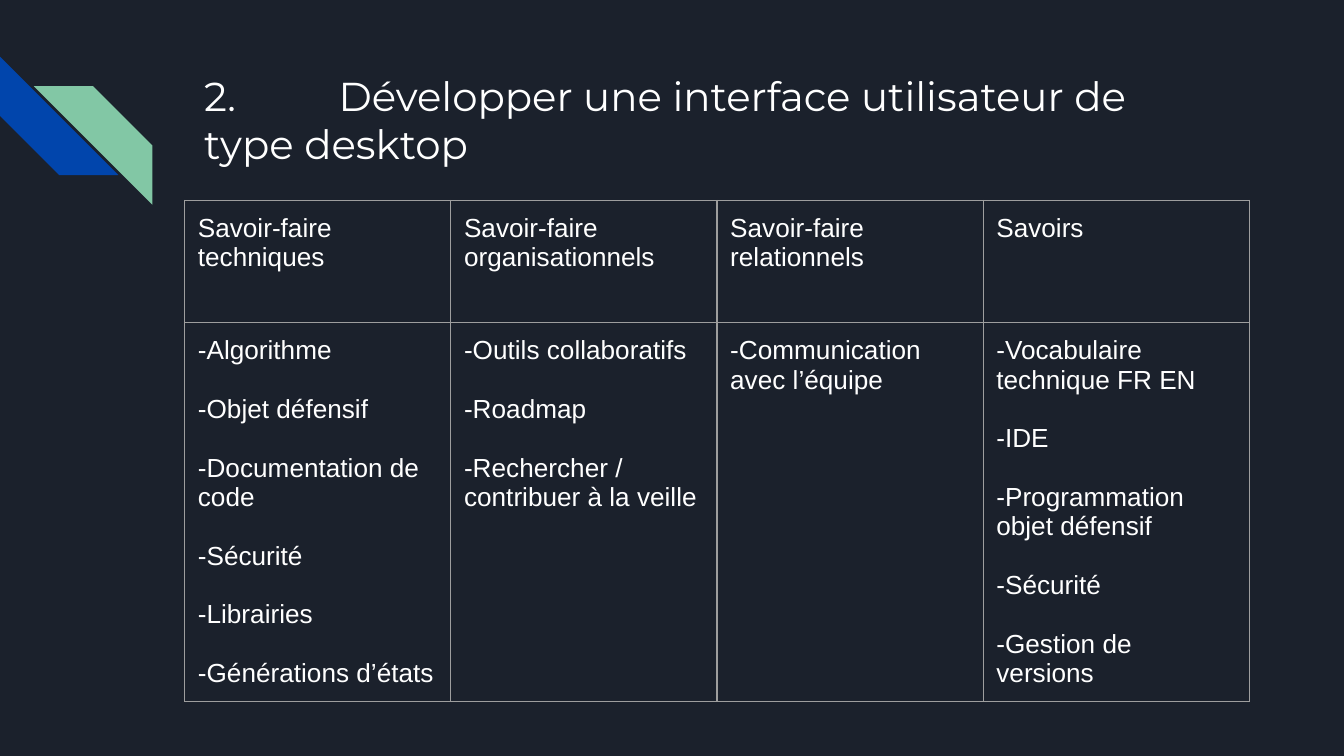
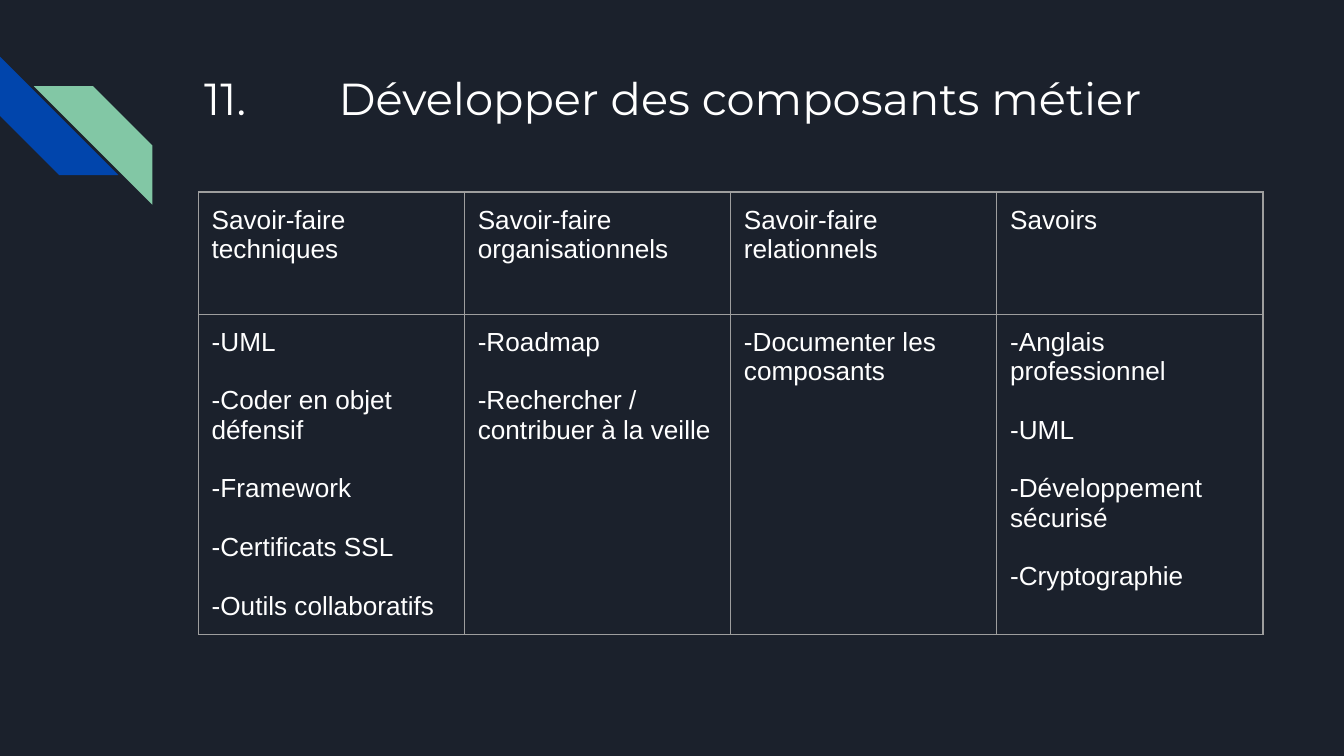
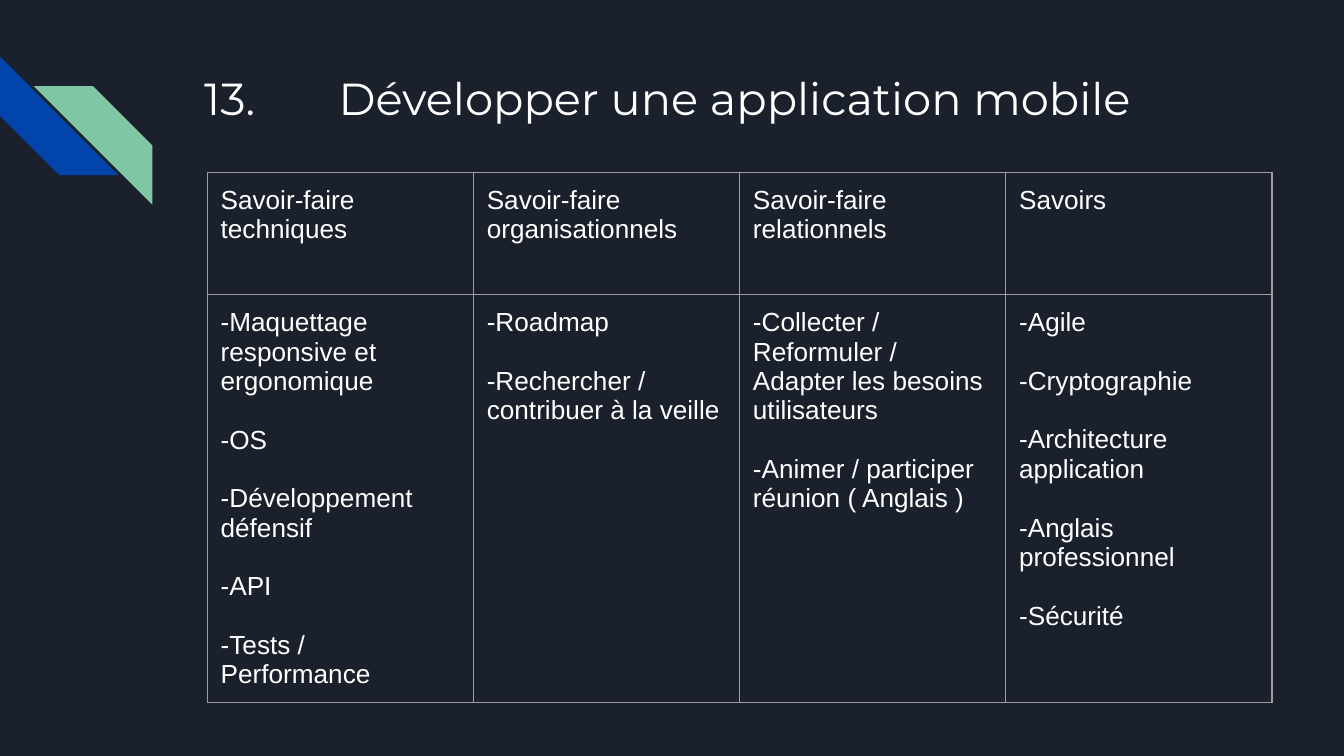
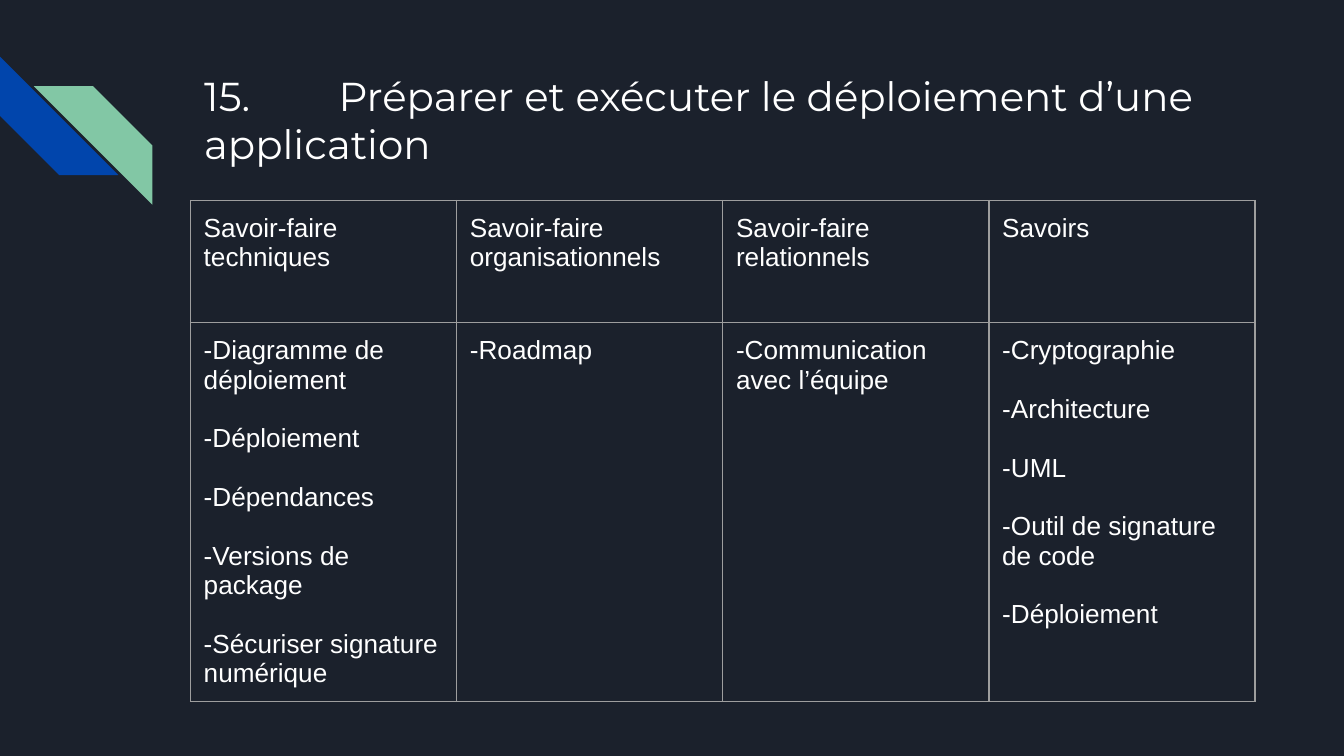
from lxml import etree
from pptx import Presentation
from pptx.dml.color import RGBColor
from pptx.enum.shapes import MSO_SHAPE as Preset
from pptx.enum.text import MSO_ANCHOR as Anchor, MSO_AUTO_SIZE as AutoSize, PP_ALIGN as Align
from pptx.oxml.ns import qn
from pptx.util import Cm, Pt

BACKGROUND = "1B212C"
BLUE = "0145AC"
GREEN = "82C7A5"
WHITE = "FFFFFF"
GRID = "9E9E9E"
MARGIN = Cm(0.25)
COLUMN_WIDTH = Cm(5.03)
HEADER_HEIGHT = Cm(2.31)
BODY_HEIGHT = Cm(5.89)
HEADERS = [
    "Savoir-faire techniques",
    "Savoir-faire organisationnels",
    "Savoir-faire relationnels",
    "Savoirs",
]


def color(value):
    return RGBColor.from_string(value)


def write(paragraph, text, font="Arial", size=14, fill=WHITE, before=0):
    run = paragraph.add_run()
    run.text = text
    run.font.name = font
    run.font.size = Pt(size)
    run.font.color.rgb = color(fill)
    paragraph.alignment = Align.LEFT
    paragraph.space_before = Pt(before)


skills = [
    {
        "title": "2.\tDévelopper une interface utilisateur de type desktop",
        "size": 21.6,
        "left": 3.49,
        "top": 3.79,
        "columns": [
            ["-Algorithme", "-Objet défensif", "-Documentation de code",
             "-Sécurité", "-Librairies", "-Générations d’états"],
            ["-Outils collaboratifs", "-Roadmap", "-Rechercher / contribuer à la veille"],
            ["-Communication avec l’équipe"],
            ["-Vocabulaire technique FR EN", "-IDE", "-Programmation objet défensif",
             "-Sécurité", "-Gestion de versions"],
        ],
    },
    {
        "title": "11.\tDévelopper des composants métier",
        "size": 24,
        "left": 3.75,
        "top": 3.63,
        "columns": [
            ["-UML", "-Coder en objet défensif", "-Framework",
             "-Certificats SSL", "-Outils collaboratifs"],
            ["-Roadmap", "-Rechercher / contribuer à la veille"],
            ["-Documenter les composants"],
            ["-Anglais professionnel", "-UML", "-Développement sécurisé", "-Cryptographie"],
        ],
    },
    {
        "title": "13.\tDévelopper une application mobile",
        "size": 24,
        "left": 3.92,
        "top": 3.26,
        "columns": [
            ["-Maquettage responsive et ergonomique", "-OS", "-Développement défensif",
             "-API", "-Tests / Performance"],
            ["-Roadmap", "-Rechercher / contribuer à la veille"],
            ["-Collecter / Reformuler / Adapter les besoins utilisateurs",
             "-Animer / participer réunion ( Anglais )"],
            ["-Agile", "-Cryptographie", "-Architecture application",
             "-Anglais professionnel", "-Sécurité"],
        ],
    },
    {
        "title": "15.\tPréparer et exécuter le déploiement d’une application",
        "size": 21.6,
        "left": 3.6,
        "top": 3.79,
        "columns": [
            ["-Diagramme de déploiement", "-Déploiement", "-Dépendances",
             "-Versions de package", "-Sécuriser signature numérique"],
            ["-Roadmap"],
            ["-Communication avec l’équipe"],
            ["-Cryptographie", "-Architecture", "-UML",
             "-Outil de signature de code", "-Déploiement"],
        ],
    },
]

presentation = Presentation()
presentation.slide_width = Cm(25.4)
presentation.slide_height = Cm(14.29)

layout = presentation.slide_layouts[5]
layout.background.fill.solid()
layout.background.fill.fore_color.rgb = color(BACKGROUND)

layout_title = layout.placeholders[0]
layout_title.left, layout_title.top = Cm(3.61), Cm(1.09)
layout_title.width, layout_title.height = Cm(19.56), Cm(2.54)
frame = layout_title.text_frame
frame.margin_left = frame.margin_right = frame.margin_top = frame.margin_bottom = MARGIN
frame.vertical_anchor = Anchor.TOP
frame.auto_size = AutoSize.NONE

slides = [presentation.slides.add_slide(layout) for skill in skills]

stripes = [(0, 1.07, 270, BLUE), (0.64, 1.63, 90, GREEN)]
for index, (left, top, rotation, fill) in enumerate(stripes):
    stripe = slides[0].shapes.add_shape(
        Preset.DIAGONAL_STRIPE, Cm(left), Cm(top), Cm(2.24), Cm(2.24))
    stripe.adjustments[0] = 0.5
    stripe.rotation = rotation
    stripe.shadow.inherit = False
    stripe.fill.solid()
    stripe.fill.fore_color.rgb = color(fill)
    stripe.line.fill.background()
    layout.shapes.element.insert(2 + index, stripe.element)

for slide, skill in zip(slides, skills):
    paragraph = slide.shapes.title.text_frame.paragraphs[0]
    write(paragraph, skill["title"], font="Montserrat", size=skill["size"])
    properties = paragraph._p.get_or_add_pPr()
    tabs = etree.SubElement(properties, qn("a:tabLst"))
    etree.SubElement(tabs, qn("a:tab"), pos=str(Cm(2.54)), algn="l")

    table = slide.shapes.add_table(
        2, len(HEADERS), Cm(skill["left"]), Cm(skill["top"]),
        COLUMN_WIDTH * len(HEADERS), HEADER_HEIGHT + BODY_HEIGHT).table
    table.first_row = False
    table.horz_banding = False
    table.rows[0].height = HEADER_HEIGHT
    table.rows[1].height = BODY_HEIGHT

    for column, (header, items) in enumerate(zip(HEADERS, skill["columns"])):
        table.columns[column].width = COLUMN_WIDTH
        for row, lines in enumerate([[header], items]):
            cell = table.cell(row, column)
            cell.margin_left = cell.margin_right = MARGIN
            cell.margin_top = cell.margin_bottom = MARGIN
            cell.vertical_anchor = Anchor.TOP
            cell.fill.background()
            for number, line in enumerate(lines):
                frame = cell.text_frame
                paragraph = frame.add_paragraph() if number else frame.paragraphs[0]
                write(paragraph, line, before=15.7 if number else 0)
            properties = cell._tc.get_or_add_tcPr()
            for position, side in enumerate(["a:lnL", "a:lnR", "a:lnT", "a:lnB"]):
                border = etree.Element(qn(side), w=str(Pt(0.75)))
                solid = etree.SubElement(border, qn("a:solidFill"))
                etree.SubElement(solid, qn("a:srgbClr"), val=GRID)
                properties.insert(position, border)

presentation.save("out.pptx")
